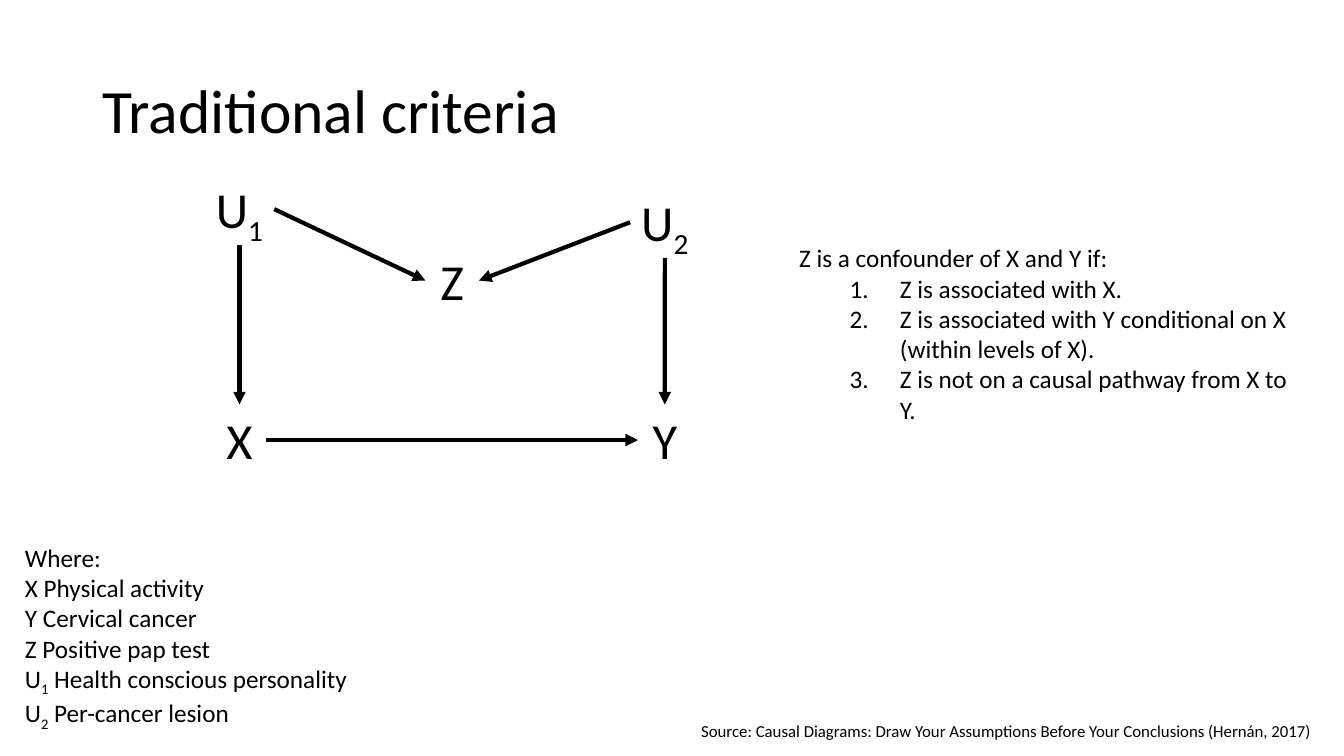
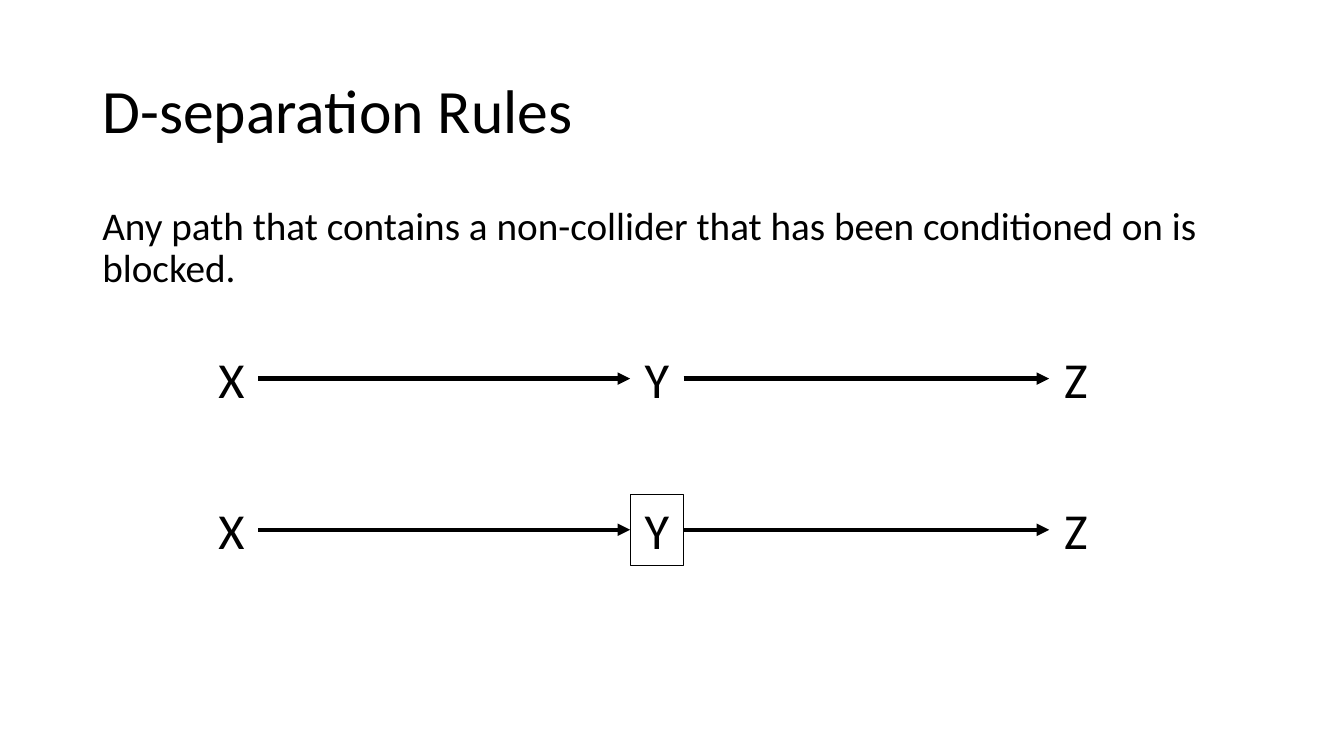
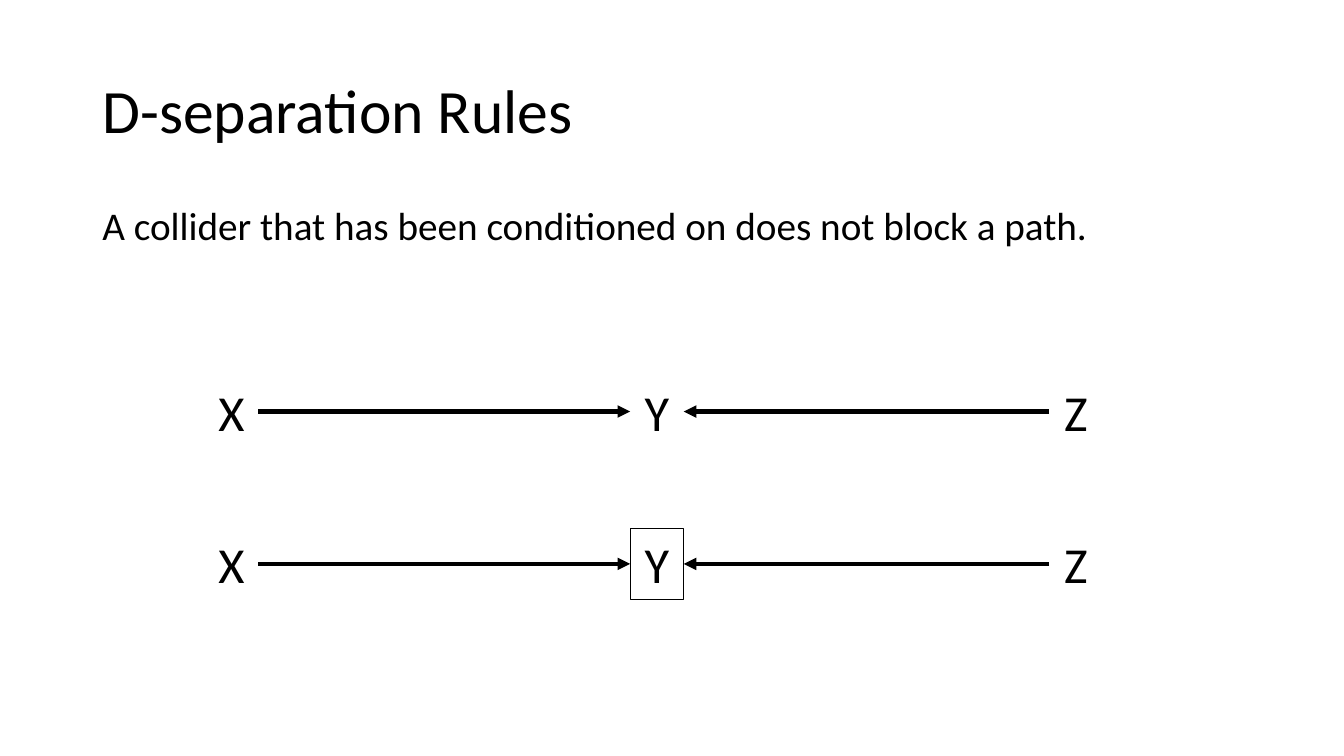
from lxml.etree import SubElement
from pptx import Presentation
from pptx.dml.color import RGBColor
from pptx.enum.shapes import MSO_CONNECTOR, MSO_SHAPE
from pptx.enum.text import MSO_ANCHOR, PP_ALIGN
from pptx.oxml.ns import qn
from pptx.util import Cm, Pt

# Content: an underscore puts the next character in subscript
CRITERIA_TITLE = "Traditional criteria"
# name: (left, top, width) in cm
CRITERIA_NODES = {
    "X": (5.36, 10.19, 1.35),
    "Y": (16.08, 10.19, 1.35),
    "Z": (10.72, 6.17, 1.35),
    "U_1": (5.16, 4.37, 1.75),
    "U_2": (15.88, 4.7, 1.75),
}
CRITERIA_ARROWS = [
    ("U_1", "right", "Z", "left"),
    ("U_2", "left", "Z", "right"),
    ("U_1", "bottom", "X", "top"),
    ("U_2", "bottom", "Y", "top"),
    ("X", "right", "Y", "left"),
]
LEGEND = [
    "Where:",
    "X Physical activity",
    "Y Cervical cancer",
    "Z Positive pap test",
    "U_1 Health conscious personality",
    "U_2 Per-cancer lesion",
]
CONFOUNDER_RULES = [
    "Z is a confounder of X and Y if:",
    "Z is associated with X.",
    "Z is associated with Y conditional on X (within levels of X).",
    "Z is not on a causal pathway from X to Y.",
]
SOURCE = "Source: Causal Diagrams: Draw Your Assumptions Before Your Conclusions (Hernán, 2017)"

SEPARATION_TITLE = "D-separation Rules"
# (rule, tops of the plain and the conditioned path, Y is a collider)
SEPARATION_SLIDES = [
    ("Any path that contains a non-collider that has been conditioned on is blocked.",
     (8.64, 12.45), False),
    ("A collider that has been conditioned on does not block a path.",
     (9.47, 13.31), True),
]
PATH_LEFTS = {"X": 5.16, "Y": 15.88, "Z": 26.44}

# Shared style
FONT = "Calibri"
INK = "000000"
NODE_WIDTH, NODE_HEIGHT = 1.35, 1.8
MARGIN, CONTENT_WIDTH = 2.33, 29.21
SITES = {"top": 0, "left": 1, "bottom": 2, "right": 3}


def color(value):
    return RGBColor.from_string(value)


def write(shape, lines, size, align=PP_ALIGN.LEFT):
    frame = shape.text_frame
    frame.word_wrap = True
    for index, line in enumerate(lines):
        paragraph = frame.paragraphs[0] if index == 0 else frame.add_paragraph()
        paragraph.alignment = align
        before, _, after = line.partition("_")
        for position, text in enumerate((before, after[:1], after[1:])):
            if not text:
                continue
            run = paragraph.add_run()
            run.text = text
            run.font.name = FONT
            run.font.size = Pt(size)
            run.font.color.rgb = color(INK)
            if position == 1:
                run.font._element.set("baseline", "-25000")
    return frame


def add_text(slide, box, lines, size, align=PP_ALIGN.LEFT):
    shape = slide.shapes.add_textbox(*map(Cm, box))
    write(shape, lines, size, align)
    return shape


def add_slide(title):
    slide = presentation.slides.add_slide(presentation.slide_layouts[6])
    frame = add_text(slide, (MARGIN, 1.01, CONTENT_WIDTH, 3.68), [title], 44).text_frame
    frame.vertical_anchor = MSO_ANCHOR.MIDDLE
    frame.paragraphs[0].line_spacing = 0.9
    return slide


def add_node(slide, name, left, top, width=NODE_WIDTH, boxed=False):
    box = (left, top, width, NODE_HEIGHT)
    if not boxed:
        return add_text(slide, box, [name], 36, PP_ALIGN.CENTER)
    shape = slide.shapes.add_shape(MSO_SHAPE.RECTANGLE, *map(Cm, box))
    shape.shadow.inherit = False
    shape.fill.background()
    shape.line.color.rgb = color(INK)
    shape.line.width = Pt(0.75)
    write(shape, [name], 36, PP_ALIGN.CENTER).vertical_anchor = MSO_ANCHOR.TOP
    return shape


def add_arrow(slide, start, start_side, end, end_side):
    arrow = slide.shapes.add_connector(MSO_CONNECTOR.STRAIGHT, 0, 0, 0, 0)
    arrow.begin_connect(start, SITES[start_side])
    arrow.end_connect(end, SITES[end_side])
    arrow.line.color.rgb = color(INK)
    arrow.line.width = Pt(3)
    SubElement(arrow.line._get_or_add_ln(), qn("a:tailEnd"), type="triangle")
    SubElement(arrow._element.spPr, qn("a:effectLst"))


def indent(paragraph, left, first_line=0):
    properties = paragraph._p.get_or_add_pPr()
    properties.set("marL", str(Cm(left)))
    properties.set("indent", str(Cm(first_line)))
    return properties


presentation = Presentation()
presentation.slide_width = Cm(33.87)
presentation.slide_height = Cm(19.05)

# Traditional criteria: causal graph, legend, rules and source
slide = add_slide(CRITERIA_TITLE)
nodes = {name: add_node(slide, name, *place) for name, place in CRITERIA_NODES.items()}
for start, start_side, end, end_side in CRITERIA_ARROWS:
    add_arrow(slide, nodes[start], start_side, nodes[end], end_side)
add_text(slide, (0.38, 13.54, 8.86, 4.88), LEGEND, 18)
add_text(slide, (17.42, 18.03, 16.2, 0.76), [SOURCE], 12)
rules = add_text(slide, (18.62, 5.99, 14.4, 5.64), CONFOUNDER_RULES, 18)
heading, *criteria = rules.text_frame.paragraphs
indent(heading, 1.27)
for criterion in criteria:
    SubElement(indent(criterion, 3.81, -1.27), qn("a:buAutoNum"), type="arabicPeriod")

# D-separation rules: the path as it is, then conditioned on Y
for rule, tops, collider in SEPARATION_SLIDES:
    slide = add_slide(SEPARATION_TITLE)
    body = add_text(slide, (MARGIN, 5.08, CONTENT_WIDTH, 12.09), [rule], 28)
    paragraph = body.text_frame.paragraphs[0]
    paragraph.line_spacing = 0.9
    paragraph.space_before = Pt(10)
    for top, conditioned in zip(tops, (False, True)):
        x, y, z = (
            add_node(slide, name, left, top, boxed=conditioned and name == "Y")
            for name, left in PATH_LEFTS.items()
        )
        add_arrow(slide, x, "right", y, "left")
        if collider:
            add_arrow(slide, z, "left", y, "right")
        else:
            add_arrow(slide, y, "right", z, "left")

presentation.save("out.pptx")
